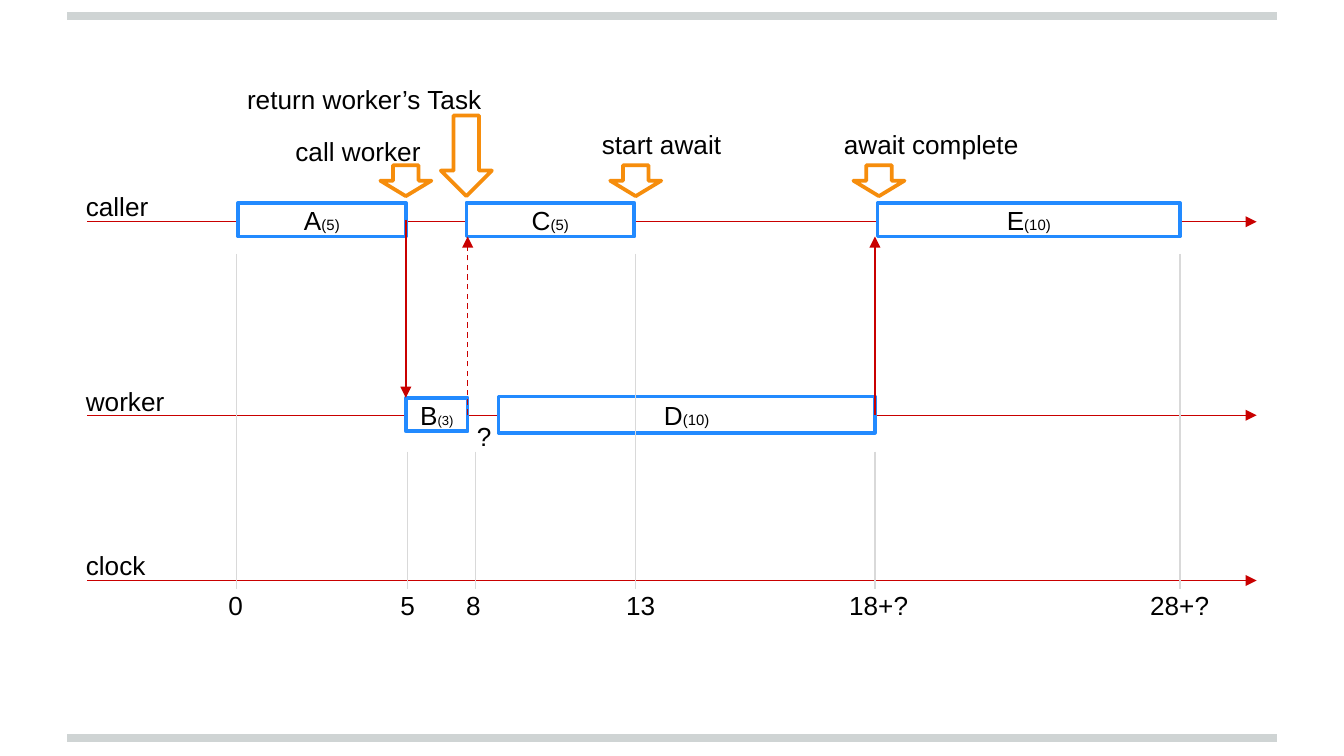
from dataclasses import dataclass

from lxml import etree
from pptx import Presentation
from pptx.dml.color import RGBColor
from pptx.enum.dml import MSO_LINE
from pptx.enum.shapes import MSO_CONNECTOR, MSO_SHAPE
from pptx.enum.text import MSO_ANCHOR, MSO_AUTO_SIZE, PP_ALIGN
from pptx.oxml.ns import qn
from pptx.util import Inches, Pt

STRAIGHT = MSO_CONNECTOR.STRAIGHT
RECTANGLE = MSO_SHAPE.RECTANGLE
DOWN_ARROW = MSO_SHAPE.DOWN_ARROW
DASH = MSO_LINE.DASH
MIDDLE = MSO_ANCHOR.MIDDLE
FIT_SHAPE = MSO_AUTO_SIZE.SHAPE_TO_FIT_TEXT
CENTER = PP_ALIGN.CENTER
RIGHT_SIDE = 3

SLIDE_WIDTH = 10
SLIDE_HEIGHT = SLIDE_WIDTH * 9 / 16
FONT = "Arial"
TEXT_SIZE = 14
BLACK, WHITE = "000000", "FFFFFF"
RED, BLUE, ORANGE = "C90000", "228AFF", "F68D0C"
GUIDE_GRAY, RULE_GRAY = "D9D9D9", "CFD4D4"
LABEL_HEIGHT = 0.34
CALLER_BOTTOM = 1.76
TICK_BOTTOM = 4.38


@dataclass(frozen=True)
class Lane:
    name: str
    y: float
    label_top: float
    label_width: float


@dataclass(frozen=True)
class Task:
    name: str
    duration: str
    left: float
    top: float
    width: float
    height: float = 0.25
    duration_size: float = 8


@dataclass(frozen=True)
class Event:
    caption: str
    left: float
    top: float
    width: float
    arrow_left: float
    arrow_top: float = 1.23
    arrow_height: float = 0.23


@dataclass(frozen=True)
class Tick:
    time: str
    x: float
    guide_top: float
    label_left: float
    label_width: float


LANES = [
    Lane("caller", 1.65, 1.37, 0.67),
    Lane("worker", 3.09, 2.82, 0.79),
    Lane("clock", 4.32, 4.04, 0.65),
]
TASKS = [
    Task("A", "(5)", 1.77, 1.51, 1.25),
    Task("B", "(3)", 3.02, 2.96, 0.46, duration_size=7),
    Task("C", "(5)", 3.47, 1.51, 1.25),
    Task("D", "(10)", 3.71, 2.95, 2.8, height=0.27),
    Task("E", "(10)", 6.53, 1.51, 2.25),
]
EVENTS = [
    Event("call worker", 2.1, 0.96, 1.14, 2.83),
    Event("return worker’s Task", 1.74, 0.57, 1.97, 3.28, 0.86, 0.6),
    Event("start await", 4.38, 0.91, 1.09, 4.54),
    Event("await complete", 6.18, 0.91, 1.51, 6.35),
]
TICKS = [
    Tick("0", 1.76, 1.89, 1.6, 0.31),
    Tick("5", 3.03, 3.36, 2.88, 0.31),
    Tick("8", 3.54, 3.36, 3.37, 0.31),
    Tick("13", 4.73, 1.89, 4.56, 0.42),
    Tick("18+?", 6.51, 3.36, 6.22, 0.64),
    Tick("28+?", 8.78, 1.89, 8.46, 0.64),
]


def rgb(value: str) -> RGBColor:
    return RGBColor.from_string(value)


def add_run(paragraph, text: str, size: float) -> None:
    run = paragraph.add_run()
    run.text = text
    run.font.name = FONT
    run.font.size = Pt(size)
    run.font.color.rgb = rgb(BLACK)


def add_label(slide, text: str, left: float, top: float, width: float) -> None:
    label = slide.shapes.add_textbox(
        Inches(left), Inches(top), Inches(width), Inches(LABEL_HEIGHT))
    label.text_frame.word_wrap = False
    label.text_frame.auto_size = FIT_SHAPE
    add_run(label.text_frame.paragraphs[0], text, TEXT_SIZE)


def add_line(slide, x1: float, y1: float, x2: float, y2: float, color: str,
             width: float = 0.75, arrow: bool = False):
    line = slide.shapes.add_connector(
        STRAIGHT, Inches(x1), Inches(y1), Inches(x2), Inches(y2))
    line.line.color.rgb = rgb(color)
    line.line.width = Pt(width)
    if arrow:
        stroke = line.line._get_or_add_ln()
        etree.SubElement(stroke, qn("a:tailEnd"), type="triangle")
    etree.SubElement(line._element.spPr, qn("a:effectLst"))
    return line


def add_outlined(slide, kind, left: float, top: float, width: float,
                 height: float, color: str):
    shape = slide.shapes.add_shape(
        kind, Inches(left), Inches(top), Inches(width), Inches(height))
    shape.shadow.inherit = False
    shape.fill.solid()
    shape.fill.fore_color.rgb = rgb(WHITE)
    shape.line.color.rgb = rgb(color)
    shape.line.width = Pt(2)
    return shape


def add_task(slide, task: Task):
    box = add_outlined(slide, RECTANGLE, task.left, task.top, task.width,
                       task.height, BLUE)
    box.text_frame.vertical_anchor = MIDDLE
    paragraph = box.text_frame.paragraphs[0]
    paragraph.alignment = CENTER
    add_run(paragraph, task.name, TEXT_SIZE)
    add_run(paragraph, task.duration, task.duration_size)
    return box


def add_handoff(slide, source, x: float, start: float, end: float):
    handoff = add_line(slide, x, start, x, end, RED, arrow=True)
    handoff.begin_connect(source, RIGHT_SIDE)
    return handoff


def add_event(slide, event: Event) -> None:
    add_outlined(slide, DOWN_ARROW, event.arrow_left, event.arrow_top, 0.38,
                 event.arrow_height, ORANGE)
    add_label(slide, event.caption, event.left, event.top, event.width)


def main() -> None:
    """Build the timeline of a caller awaiting a worker's task."""
    deck = Presentation()
    deck.slide_width = Inches(SLIDE_WIDTH)
    deck.slide_height = Inches(SLIDE_HEIGHT)
    slide = deck.slides.add_slide(deck.slide_layouts[6])

    for rule_y in (5.49, 0.12):
        add_line(slide, 0.5, rule_y, 9.5, rule_y, RULE_GRAY, width=4)
    for lane in LANES:
        add_line(slide, 0.65, lane.y, 9.35, lane.y, RED, arrow=True)
        add_label(slide, lane.name, 0.54, lane.label_top, lane.label_width)

    boxes = {task.name: add_task(slide, task) for task in TASKS}
    add_handoff(slide, boxes["A"], 3.02, 1.64, 2.96)
    task_return = add_handoff(slide, boxes["B"], 3.48, 3.09, CALLER_BOTTOM)
    task_return.line.dash_style = DASH
    add_handoff(slide, boxes["D"], 6.51, 3.09, CALLER_BOTTOM)

    for event in EVENTS:
        add_event(slide, event)
    for tick in TICKS:
        add_line(slide, tick.x, tick.guide_top, tick.x, TICK_BOTTOM, GUIDE_GRAY)
        add_label(slide, tick.time, tick.label_left, 4.34, tick.label_width)
    add_label(slide, "?", 3.45, 3.08, 0.31)

    deck.save("out.pptx")


if __name__ == "__main__":
    main()
